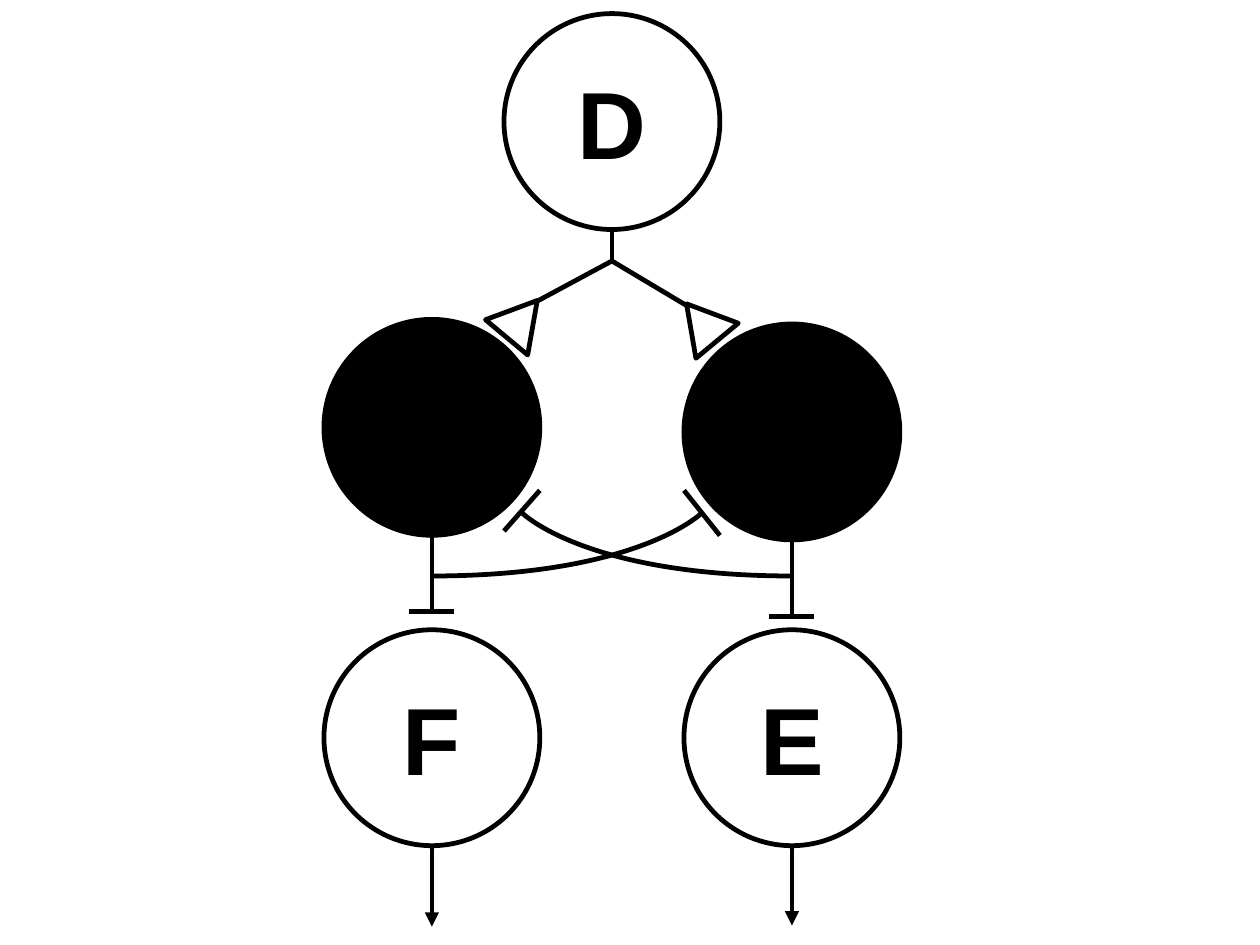
"""Draw a circuit in which D drives two inhibitory cells above F and E."""
from lxml import etree
from pptx import Presentation
from pptx.dml.color import RGBColor
from pptx.enum.shapes import MSO_CONNECTOR, MSO_SHAPE
from pptx.enum.text import MSO_ANCHOR, PP_ALIGN
from pptx.oxml.ns import qn
from pptx.util import Pt

OVAL, WEDGE = MSO_SHAPE.OVAL, MSO_SHAPE.ISOSCELES_TRIANGLE
LINE = MSO_CONNECTOR.STRAIGHT
CENTER, MIDDLE = PP_ALIGN.CENTER, MSO_ANCHOR.MIDDLE

COLORS = {"ink": "000000", "paper": "FFFFFF"}
WIDE, HIGH = 793.75, 595.25
SIZE, STROKE = 136, 3
MID, SIDE = 385.5, 113.4
LEFT, RIGHT = MID - SIDE, MID + SIDE
FORK, BAR = 164.4, 14.2

CELLS = [
    ("D", MID, 8.6, "paper"),
    ("", LEFT, 201.2, "ink"),
    ("", RIGHT, 204.1, "ink"),
    ("E", RIGHT, 396.7, "paper"),
    ("F", LEFT, 396.7, "paper"),
]
WEDGES = [(311.5, 185.8, 39.8, "paper"), (424.8, 187.9, 320.4, None)]
STEMS = [
    (337.7, 190.1, MID, FORK),
    (433.4, 193, MID, FORK),
    (MID, 144.6, MID, FORK),
]
DROPS = [(LEFT, 337.2, 385.3), (RIGHT, 340.1, 388.2)]
CURVES = [(LEFT, 1), (RIGHT, -1)]
BARS = [(317.5, 334.5, 340.1, 308.9), (453.5, 337.3, 430.9, 308.9)]
EXITS = [(LEFT, 583.7), (RIGHT, 583)]


def hue(name):
    return RGBColor.from_string(COLORS[name])


def style(shape, fill=None):
    shape.shadow.inherit = False
    if fill:
        shape.fill.solid()
        shape.fill.fore_color.rgb = hue(fill)
    else:
        shape.fill.background()
    shape.line.color.rgb = hue("ink")
    shape.line.width = Pt(STROKE)


def add_cell(shapes, label, mid, top, fill):
    cell = shapes.add_shape(OVAL, Pt(mid - SIZE / 2), Pt(top), Pt(SIZE), Pt(SIZE))
    style(cell, fill)
    if label:
        frame = cell.text_frame
        frame.text = label
        frame.word_wrap = False
        frame.vertical_anchor = MIDDLE
        frame.margin_left = frame.margin_right = Pt(8.5)
        frame.margin_top = frame.margin_bottom = Pt(5)
        para = frame.paragraphs[0]
        para.alignment = CENTER
        font = para.runs[0].font
        font.name, font.size, font.bold = "Arial", Pt(60), True
        font.color.rgb = hue("ink")


def add_line(shapes, x1, y1, x2, y2, arrow=False):
    line = shapes.add_connector(LINE, Pt(x1), Pt(y1), Pt(x2), Pt(y2))
    line.line.color.rgb = hue("ink")
    line.line.width = Pt(STROKE)
    props = line._element.spPr
    if arrow:
        etree.SubElement(props.find(qn("a:ln")), qn("a:tailEnd"), type="triangle")
    etree.SubElement(props, qn("a:effectLst"))


def add_curve(shapes, start, way):
    base, end = 362.8, 323.1
    bend, tip = start + way * 130.4, start + way * 170
    pen = shapes.build_freeform(Pt(start), Pt(base))
    spots = [(bend, base), (tip, end), (tip, end)]
    pen.add_line_segments([(Pt(x), Pt(y)) for x, y in spots], close=False)
    curve = pen.convert_to_shape()
    style(curve)
    steps = list(curve._element.iter(qn("a:lnTo")))
    bow = etree.SubElement(steps[0].getparent(), qn("a:cubicBezTo"))
    for step in steps:
        bow.append(step[0])
        step.getparent().remove(step)


def main():
    deck = Presentation()
    deck.slide_width, deck.slide_height = Pt(WIDE), Pt(HIGH)
    shapes = deck.slides.add_slide(deck.slide_layouts[6]).shapes
    for cell in CELLS:
        add_cell(shapes, *cell)
    for left, top, turn, fill in WEDGES:
        wedge = shapes.add_shape(WEDGE, Pt(left), Pt(top), Pt(34.6), Pt(30.2))
        wedge.rotation = turn
        style(wedge, fill)
    for stem in STEMS:
        add_line(shapes, *stem)
    for x, top, end in DROPS:
        add_line(shapes, x, top, x, end)
        add_line(shapes, x - BAR, end, x + BAR, end)
    for start, way in CURVES:
        add_curve(shapes, start, way)
    for bar in BARS:
        add_line(shapes, *bar)
    for x, end in EXITS:
        add_line(shapes, x, end - 51, x, end, arrow=True)
    deck.save("out.pptx")


if __name__ == "__main__":
    main()
